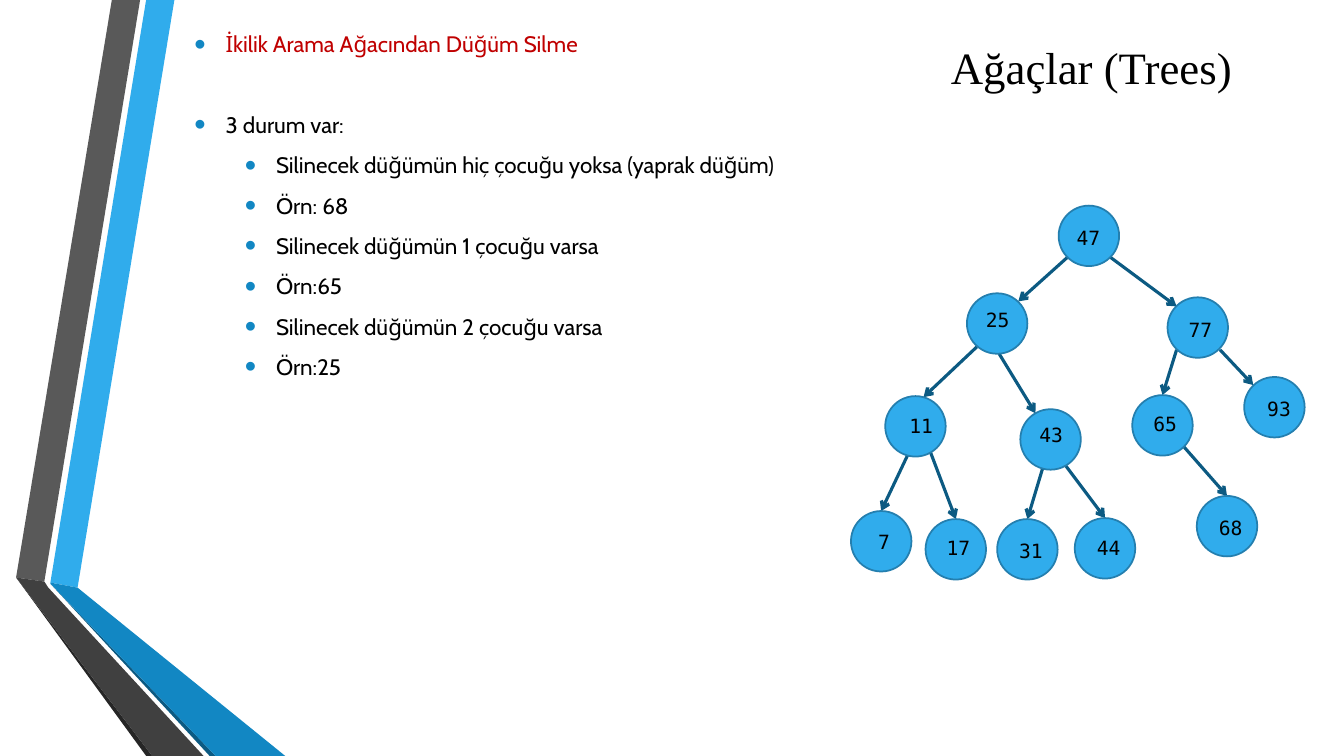
from lxml.etree import SubElement
from pptx import Presentation
from pptx.dml.color import RGBColor
from pptx.enum.shapes import MSO_CONNECTOR, MSO_SHAPE
from pptx.enum.text import MSO_ANCHOR, PP_ALIGN
from pptx.oxml.ns import qn
from pptx.util import Inches, Pt

BLACK = RGBColor(0x00, 0x00, 0x00)
RED = RGBColor(0xC0, 0x00, 0x00)
LIGHT_BLUE = RGBColor(0x30, 0xAC, 0xEC)
BLUE = RGBColor(0x12, 0x87, 0xC3)
DARK_BLUE = RGBColor(0x0C, 0x5A, 0x82)
OUTLINE_BLUE = RGBColor(0x24, 0x7F, 0xAF)
GREY = RGBColor(0x59, 0x59, 0x59)
DARK_GREY = RGBColor(0x40, 0x40, 0x40)
SHADE_GREY = RGBColor(0x26, 0x26, 0x26)

NODE_SIZE = 0.6
LABEL_SIZE = (0.45, 0.34)

# Ribbon colour and outline
RIBBONS = [
    (LIGHT_BLUE, [(0.5, 5.78), (0.77, 5.83), (1.73, 0), (1.45, 0)]),
    (GREY, [(1.39, 0), (1.11, 0), (0.16, 5.73), (0.44, 5.77)]),
    (SHADE_GREY, [(0.16, 5.73), (1.45, 7.5), (1.51, 7.5)]),
    (DARK_BLUE, [(0.5, 5.79), (2.08, 7.5), (2.14, 7.5)]),
    (BLUE, [(0.5, 5.79), (2.14, 7.5), (2.83, 7.5), (0.77, 5.83), (0.5, 5.78)]),
    (DARK_GREY, [(2.02, 7.5), (0.48, 5.83), (0.44, 5.77), (0.16, 5.73), (1.51, 7.5)]),
]

# Text, level, colour
BULLETS = [
    ("İkilik Arama Ağacından Düğüm Silme", 0, RED),
    ("3 durum var:", 0, BLACK),
    ("Silinecek düğümün hiç çocuğu yoksa (yaprak düğüm)", 1, BLACK),
    ("Örn: 68", 1, BLACK),
    ("Silinecek düğümün 1 çocuğu varsa", 1, BLACK),
    ("Örn:65", 1, BLACK),
    ("Silinecek düğümün 2 çocuğu varsa", 1, BLACK),
    ("Örn:25", 1, BLACK),
]

# Value: circle left and top, label left and top
NODES = {
    47: (10.5, 2.04, 10.58, 2.19),
    25: (9.59, 2.91, 9.68, 3.01),
    77: (11.58, 2.95, 11.69, 3.11),
    11: (8.78, 3.93, 8.92, 4.06),
    43: (10.12, 4.06, 10.21, 4.15),
    65: (11.23, 3.92, 11.34, 4.04),
    93: (12.34, 3.74, 12.47, 3.89),
    7: (8.44, 5.07, 8.61, 5.21),
    17: (9.18, 5.15, 9.29, 5.27),
    31: (9.89, 5.15, 10.01, 5.3),
    44: (10.66, 5.14, 10.78, 5.27),
    68: (11.87, 4.92, 11.99, 5.07),
}

# Arrow start and end, parent to child
EDGES = [
    (10.59, 2.55, 10.1, 2.99),
    (11.01, 2.55, 11.67, 3.04),
    (9.69, 3.44, 9.16, 3.94),
    (9.91, 3.51, 10.27, 4.1),
    (11.67, 3.47, 11.53, 3.92),
    (12.1, 3.47, 12.43, 3.82),
    (9, 4.52, 8.74, 5.07),
    (9.23, 4.49, 9.48, 5.15),
    (10.34, 4.65, 10.19, 5.15),
    (10.57, 4.62, 10.96, 5.14),
    (11.74, 4.43, 12.17, 4.92),
]


def format_run(paragraph, font_name, size, color):
    """Set the font of a paragraph's only run."""
    font = paragraph.runs[0].font
    font.name = font_name
    font.size = Pt(size)
    font.color.rgb = color


def add_bullet(paragraph, indent):
    """Give a paragraph a large blue round bullet with a hanging indent."""
    properties = paragraph._p.get_or_add_pPr()
    properties.set("marL", str(Inches(indent)))
    properties.set("indent", str(Inches(-0.31)))
    bullet_color = SubElement(properties, qn("a:buClr"))
    SubElement(bullet_color, qn("a:srgbClr"), val=str(BLUE))
    SubElement(properties, qn("a:buSzPct"), val="145000")
    SubElement(properties, qn("a:buFont"), typeface="Arial")
    SubElement(properties, qn("a:buChar"), char="•")


presentation = Presentation()
presentation.slide_width = Inches(13.33)
presentation.slide_height = Inches(7.5)
slide = presentation.slides.add_slide(presentation.slide_layouts[5])
shapes = slide.shapes

# Ribbons on the left
for color, outline in RIBBONS:
    points = [(Inches(x), Inches(y)) for x, y in outline]
    builder = shapes.build_freeform(*points[0])
    builder.add_line_segments(points[1:], close=True)
    ribbon = builder.convert_to_shape()
    ribbon.shadow.inherit = False
    ribbon.fill.solid()
    ribbon.fill.fore_color.rgb = color
    ribbon.line.fill.background()

# Title
title = shapes.title
title.left, title.top = Inches(8.44), Inches(0.14)
title.width, title.height = Inches(4.77), Inches(1.04)
title.text_frame.text = "Ağaçlar (Trees)"
title.text_frame.vertical_anchor = MSO_ANCHOR.MIDDLE
title.text_frame.paragraphs[0].alignment = PP_ALIGN.CENTER
format_run(title.text_frame.paragraphs[0], "Times New Roman", 32, BLACK)

# Bullet list
body = shapes.add_textbox(Inches(1.83), Inches(0.12), Inches(8.22), Inches(6.83))
body.text_frame.word_wrap = True
body.text_frame.text = "\n".join(text for text, level, color in BULLETS)
for paragraph, (text, level, color) in zip(body.text_frame.paragraphs, BULLETS):
    paragraph.level = level
    paragraph.alignment = PP_ALIGN.JUSTIFY
    paragraph.line_spacing = 1.5
    add_bullet(paragraph, 0.31 + 0.5 * level)
    format_run(paragraph, "Cabin", 16, color)
body.text_frame.paragraphs[1].space_before = Pt(29)

# Tree arrows
for edge in EDGES:
    arrow = shapes.add_connector(MSO_CONNECTOR.STRAIGHT, *map(Inches, edge))
    arrow.line.color.rgb = DARK_BLUE
    arrow.line.width = Pt(2.25)
    SubElement(arrow.line._get_or_add_ln(), qn("a:tailEnd"), type="arrow")
    SubElement(arrow._element.spPr, qn("a:effectLst"))

# Tree nodes and their values
for value, (left, top, label_left, label_top) in NODES.items():
    node = shapes.add_shape(MSO_SHAPE.OVAL, *map(Inches, (left, top, NODE_SIZE, NODE_SIZE)))
    node.shadow.inherit = False
    node.fill.solid()
    node.fill.fore_color.rgb = LIGHT_BLUE
    node.line.color.rgb = OUTLINE_BLUE
    node.line.width = Pt(1.25)

    label = shapes.add_textbox(*map(Inches, (label_left, label_top, *LABEL_SIZE)))
    label.text_frame.word_wrap = True
    label.text_frame.text = str(value)
    format_run(label.text_frame.paragraphs[0], "DejaVu Sans Mono", 14, BLACK)

presentation.save("out.pptx")
